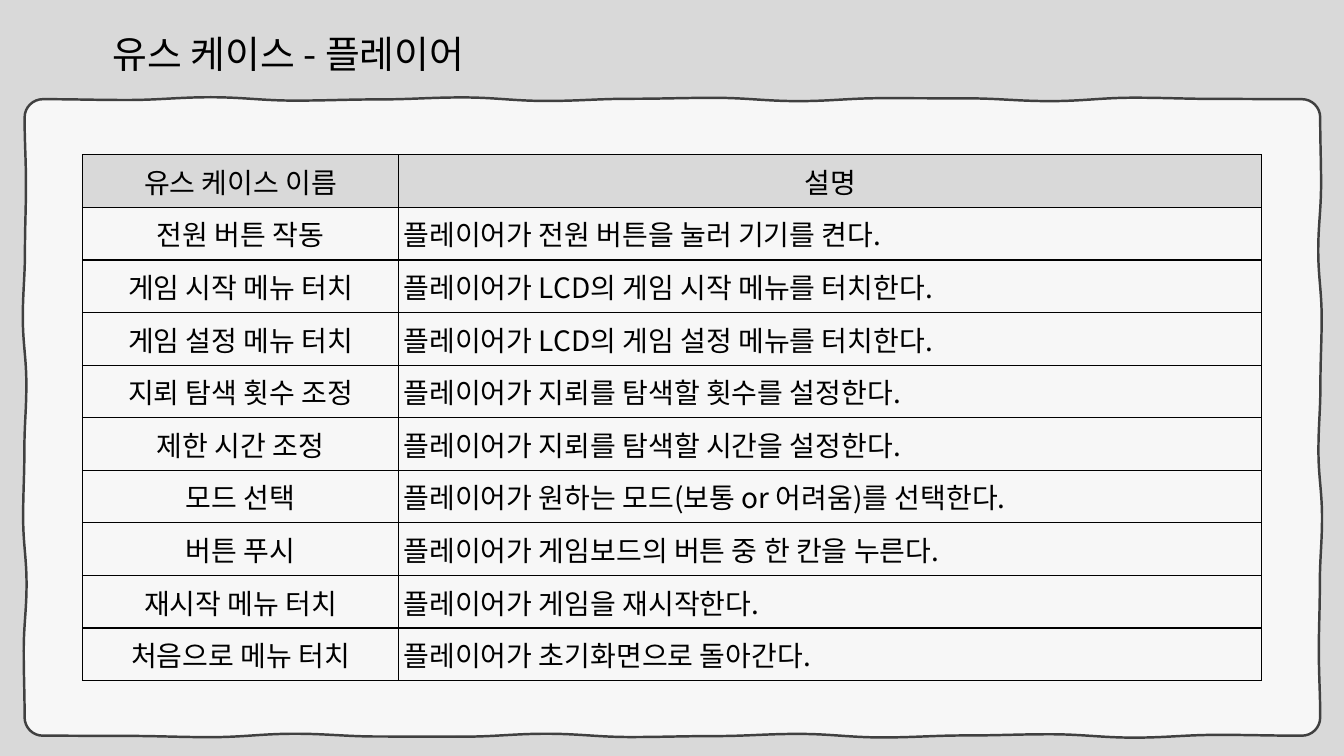
import math

import lxml.etree
import pptx
import pptx.dml.color
import pptx.enum.text
import pptx.oxml.ns
import pptx.util

Cm = pptx.util.Cm
Pt = pptx.util.Pt
RGBColor = pptx.dml.color.RGBColor
ALIGN = pptx.enum.text.PP_ALIGN
qn = pptx.oxml.ns.qn

BLACK = RGBColor(0x00, 0x00, 0x00)
WHITE = RGBColor(0xFF, 0xFF, 0xFF)
GRAY = RGBColor(0xD9, 0xD9, 0xD9)
DARK_GRAY = RGBColor(0x40, 0x40, 0x40)

USE_CASES = [
    ("유스 케이스 이름", "설명"),
    ("전원 버튼 작동", "플레이어가 전원 버튼을 눌러 기기를 켠다."),
    ("게임 시작 메뉴 터치", "플레이어가 LCD의 게임 시작 메뉴를 터치한다."),
    ("게임 설정 메뉴 터치", "플레이어가 LCD의 게임 설정 메뉴를 터치한다."),
    ("지뢰 탐색 횟수 조정", "플레이어가 지뢰를 탐색할 횟수를 설정한다."),
    ("제한 시간 조정", "플레이어가 지뢰를 탐색할 시간을 설정한다."),
    ("모드 선택", "플레이어가 원하는 모드(보통 or 어려움)를 선택한다."),
    ("버튼 푸시", "플레이어가 게임보드의 버튼 중 한 칸을 누른다."),
    ("재시작 메뉴 터치", "플레이어가 게임을 재시작한다."),
    ("처음으로 메뉴 터치", "플레이어가 초기화면으로 돌아간다."),
]


def wobbly_knots(left, top, right, bottom, radius, phase):
    """Return (x, y, direction) in cm, clockwise round an uneven rounded rectangle."""
    sides = [
        (left + radius, top, right - radius, top, 15),
        (right, top + radius, right, bottom - radius, 9),
        (right - radius, bottom, left + radius, bottom, 15),
        (left, bottom - radius, left, top + radius, 9),
    ]
    directions = [(1, 0), (0, 1), (-1, 0), (0, -1)]
    knots = []
    for (x1, y1, x2, y2, parts), (along_x, along_y) in zip(sides, directions):
        for step in range(parts + 1):
            is_inner = 0 < step < parts
            offset = 0.05 * math.sin(2.2 * step + phase) if is_inner else 0
            x = x1 + (x2 - x1) * step / parts + offset * along_y
            y = y1 + (y2 - y1) * step / parts + offset * along_x
            knots.append((x, y, (along_x, along_y)))
    return knots


def smooth_segments(shape, directions):
    """Turn the straight segments into curves that follow each knot's direction."""
    path = shape._element.spPr.find(".//" + qn("a:path"))
    steps = [step for step in path if step.tag != qn("a:close")]
    places = [(int(step[0].get("x")), int(step[0].get("y"))) for step in steps]
    for index in range(1, len(steps)):
        (x1, y1), (x2, y2) = places[index - 1], places[index]
        reach = 0.39 * math.hypot(x2 - x1, y2 - y1)
        start, end = directions[index - 1], directions[index]
        curve = lxml.etree.Element(qn("a:cubicBezTo"))
        for x, y in ((x1 + reach * start[0], y1 + reach * start[1]),
                     (x2 - reach * end[0], y2 - reach * end[1]), (x2, y2)):
            lxml.etree.SubElement(curve, qn("a:pt"), x=str(round(x)), y=str(round(y)))
        path.replace(steps[index], curve)


class SlideBuilder:
    font_name = "Noto Sans CJK KR"
    inset = Cm(0.12)

    def __init__(self, presentation, background):
        self.slide = presentation.slides.add_slide(presentation.slide_layouts[6])
        fill = self.slide.background.fill
        fill.solid()
        fill.fore_color.rgb = background

    def set_margins(self, target):
        target.margin_left = target.margin_right = self.inset
        target.margin_top = target.margin_bottom = self.inset

    def style_text(self, text_frame, size, alignment):
        paragraph = text_frame.paragraphs[0]
        paragraph.alignment = alignment
        for run in paragraph.runs:
            run.font.size = Pt(size)
            run.font.color.rgb = BLACK
            run.font.name = self.font_name
            east_asian = lxml.etree.SubElement(run.font._element, qn("a:ea"))
            east_asian.set("typeface", self.font_name)

    def add_text(self, text, left, top, width, height, size):
        box = self.slide.shapes.add_textbox(Cm(left), Cm(top), Cm(width), Cm(height))
        self.set_margins(box.text_frame)
        box.text_frame.word_wrap = True
        box.text_frame.auto_size = pptx.enum.text.MSO_AUTO_SIZE.SHAPE_TO_FIT_TEXT
        box.text_frame.text = text
        self.style_text(box.text_frame, size, ALIGN.LEFT)

    def add_outline(self, knots):
        closed = knots + knots[:1]
        start, *others = [(Cm(x), Cm(y)) for x, y, _ in closed]
        builder = self.slide.shapes.build_freeform(*start)
        builder.add_line_segments(others, close=True)
        shape = builder.convert_to_shape()
        shape.shadow.inherit = False
        smooth_segments(shape, [direction for _, _, direction in closed])
        return shape

    def add_paper(self, left, top, right, bottom, radius):
        """Add a translucent sheet with a separately drawn, uneven border."""
        sheet = self.add_outline(wobbly_knots(left, top, right, bottom, radius, 0))
        sheet.fill.solid()
        sheet.fill.fore_color.rgb = WHITE
        color = sheet._element.spPr.find(qn("a:solidFill"))[0]
        lxml.etree.SubElement(color, qn("a:alpha")).set("val", "80000")
        sheet.line.fill.background()

        border = self.add_outline(wobbly_knots(left, top, right, bottom, radius, 0.5))
        border.fill.background()
        border.line.color.rgb = DARK_GRAY
        border.line.width = Pt(1.75)
        self.slide.shapes.add_group_shape([sheet, border])

    def add_cell_borders(self, cell):
        properties = cell._tc.get_or_add_tcPr()
        for index, side in enumerate(("a:lnL", "a:lnR", "a:lnT", "a:lnB")):
            line = lxml.etree.Element(qn(side), w=str(Pt(1)))
            fill = lxml.etree.SubElement(line, qn("a:solidFill"))
            lxml.etree.SubElement(fill, qn("a:srgbClr")).set("val", str(BLACK))
            properties.insert(index, line)

    def add_table(self, rows, left, top, column_widths, height, size):
        """Add a bordered table with a gray, centred header row."""
        table = self.slide.shapes.add_table(
            len(rows), len(column_widths), Cm(left), Cm(top),
            Cm(sum(column_widths)), Cm(height)).table
        table.first_row = table.horz_banding = False
        for column, width in zip(table.columns, column_widths):
            column.width = Cm(width)
        for row_index, texts in enumerate(rows):
            table.rows[row_index].height = Cm(height / len(rows))
            for column_index, text in enumerate(texts):
                cell = table.cell(row_index, column_index)
                is_header = row_index == 0
                if is_header:
                    cell.fill.solid()
                    cell.fill.fore_color.rgb = GRAY
                else:
                    cell.fill.background()
                self.set_margins(cell)
                cell.vertical_anchor = pptx.enum.text.MSO_ANCHOR.MIDDLE
                cell.text_frame.text = text
                centred = is_header or column_index == 0
                self.style_text(cell.text_frame, size,
                                ALIGN.CENTER if centred else ALIGN.LEFT)
                self.add_cell_borders(cell)


def main():
    presentation = pptx.Presentation()
    presentation.slide_width = Cm(33.87)
    presentation.slide_height = Cm(19.05)
    builder = SlideBuilder(presentation, GRAY)
    builder.add_paper(left=0.62, top=2.5, right=33.27, bottom=18.54, radius=0.46)
    builder.add_text("유스 케이스 - 플레이어", 2.72, 0.66, 11.18, 1.45, size=27)
    builder.add_table(USE_CASES, left=2.08, top=3.9, column_widths=(7.97, 21.74),
                      height=13.25, size=20)
    presentation.save("out.pptx")


if __name__ == "__main__":
    main()
